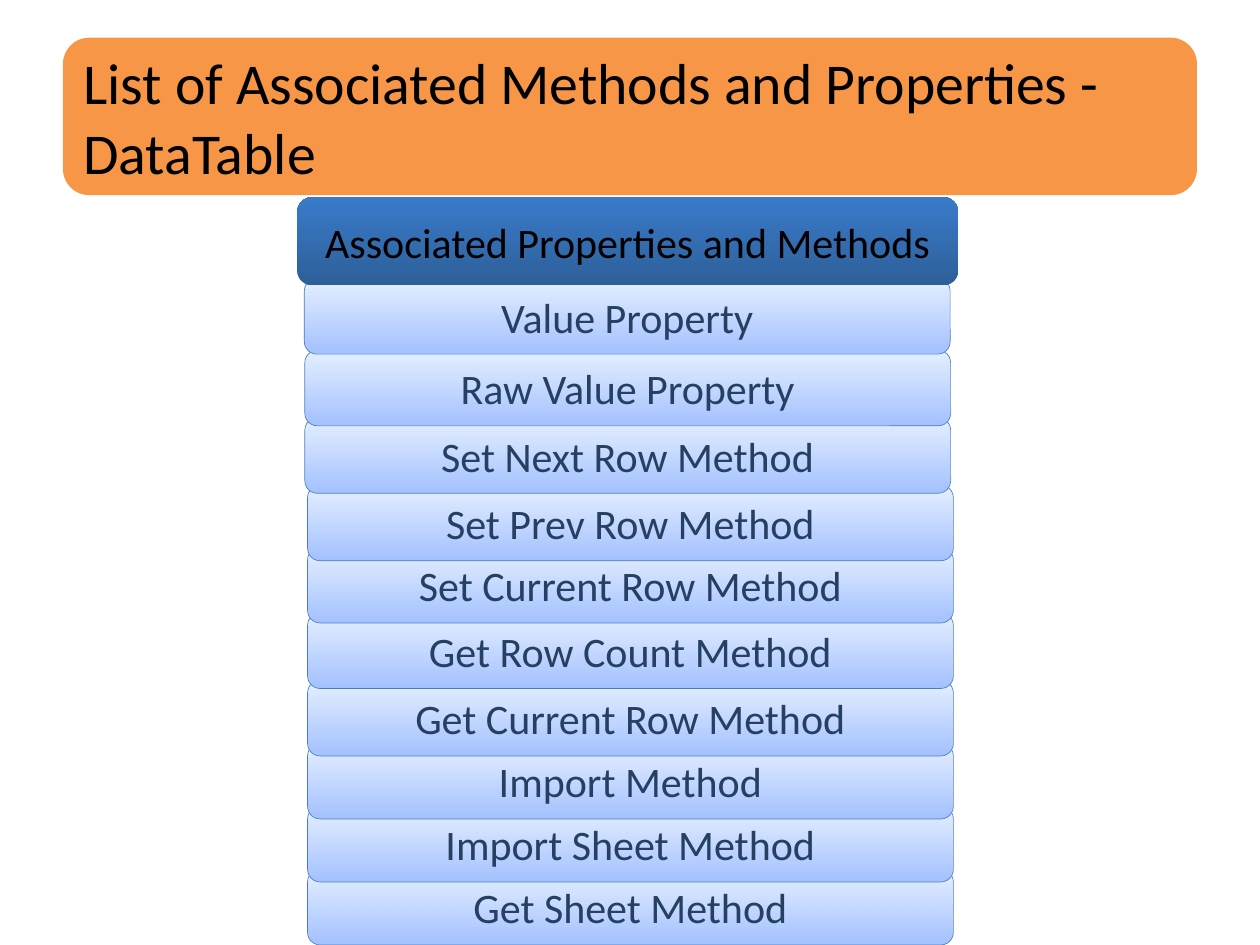
from pptx import Presentation
from pptx.dml.color import RGBColor
from pptx.enum.shapes import MSO_SHAPE as Preset
from pptx.enum.text import MSO_ANCHOR as Anchor, PP_ALIGN as Align
from pptx.util import Cm, Pt

COLOURS = {
    "banner": "F79646",
    "header_bottom": "2E5F99",
    "header_top": "397BCA",
    "member_bottom": "A4C1FF",
    "member_top": "E5EFFF",
    "member_line": "4A7EBB",
    "member_text": "254061",
    "black": "000000",
}

FRAME_FORMAT = {
    "word_wrap": True,
    "vertical_anchor": Anchor.MIDDLE,
    "margin_left": Cm(0.51),
    "margin_right": Cm(0.51),
    "margin_top": Cm(0.25),
    "margin_bottom": Cm(0.25),
}

# Each member with its left and top offset in the list, in cm
MEMBERS = [
    ("Value Property", 0.28, 3.28),
    ("Raw Value Property", 0.3, 6.17),
    ("Set Next Row Method", 0.3, 8.89),
    ("Set Prev Row Method", 0.41, 11.61),
    ("Set Current Row Method", 0.41, 14.12),
    ("Get Row Count Method", 0.41, 16.76),
    ("Get Current Row Method", 0.41, 19.48),
    ("Import Method", 0.41, 22.02),
    ("Import Sheet Method", 0.41, 24.56),
    ("Get Sheet Method", 0.41, 27.1),
]


def rgb(name):
    return RGBColor.from_string(COLOURS[name])


def add_bar(slide, box, wording, fills, line=None, ink="black", size=48, align=Align.CENTER):
    """Rounded bar; fills holds one colour, or the bottom and top of a gradient."""
    bar = slide.shapes.add_shape(Preset.ROUNDED_RECTANGLE, *(Cm(v) for v in box))
    bar.shadow.inherit = False

    if len(fills) == 1:
        bar.fill.solid()
        bar.fill.fore_color.rgb = rgb(fills[0])
    else:
        bar.fill.gradient()
        bar.fill.gradient_angle = 90
        for stop, name in zip(bar.fill.gradient_stops, fills):
            stop.color.rgb = rgb(name)

    if line:
        bar.line.color.rgb = rgb(line)
        bar.line.width = Pt(0.75)
    else:
        bar.line.fill.background()

    frame = bar.text_frame
    for attribute, value in FRAME_FORMAT.items():
        setattr(frame, attribute, value)
    paragraph = frame.paragraphs[0]
    paragraph.alignment = align
    run = paragraph.add_run()
    run.text = wording
    for attribute, value in {"name": "Calibri", "size": Pt(size)}.items():
        setattr(run.font, attribute, value)
    run.font.color.rgb = rgb(ink)


def add_title_banner(slide, box):
    add_bar(slide, box, "List of Associated Methods and Properties - DataTable",
            ["banner"], size=66, align=Align.LEFT)


def add_member_list(slide, left, top, width):
    # Members run from the last to the first, so each overlaps the one below
    for member, dx, dy in reversed(MEMBERS):
        add_bar(slide, (left + dx, top + dy, width - 0.6, 3.05), member,
                ["member_bottom", "member_top"], line="member_line", ink="member_text")
    # Header lies over the first member
    add_bar(slide, (left, top, width, 3.56), "Associated Properties and Methods",
            ["header_bottom", "header_top"])


def main():
    deck = Presentation()
    deck.slide_width, deck.slide_height = Cm(50.8), Cm(38.1)
    slide = deck.slides.add_slide(deck.slide_layouts[6])
    add_member_list(slide, 11.99, 7.95, 26.64)
    add_title_banner(slide, (2.54, 1.52, 45.72, 6.35))
    deck.save("out.pptx")


if __name__ == "__main__":
    main()
